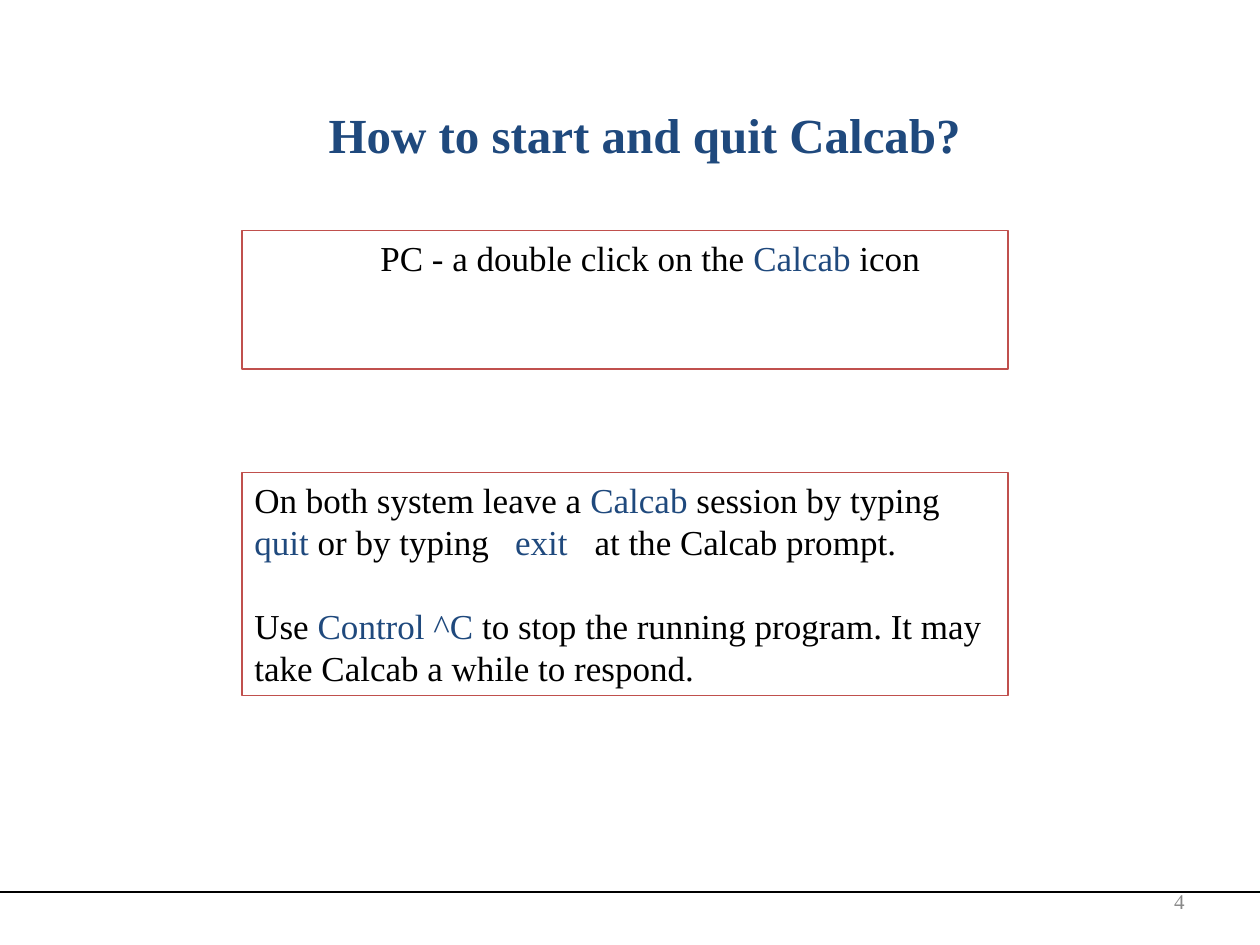
from typing import NamedTuple

from lxml import etree
from pptx import Presentation
from pptx import util as u
from pptx.dml.color import RGBColor
from pptx.enum import shapes, text
from pptx.oxml import ns

BLACK, NAVY, RED, GRAY = "000000", "1F497D", "C0504D", "898989"
LEFT, RIGHT = text.PP_ALIGN.LEFT, text.PP_ALIGN.RIGHT
TOP, MIDDLE = text.MSO_ANCHOR.TOP, text.MSO_ANCHOR.MIDDLE


class Run(NamedTuple):
    text: str
    color: str = BLACK


class Para(NamedTuple):
    runs: list[Run]
    tabs: tuple[float, ...] = ()
    gap: float = 0


class Box(NamedTuple):
    at: tuple[float, float, float, float]
    paras: list[Para]
    size: float = 20
    bold: bool = False
    framed: bool = False
    wrap: bool = True
    align: text.PP_ALIGN = LEFT
    anchor: text.MSO_ANCHOR = TOP


BOXES = [
    Box((2.51, 0.78, 5.26, 0.57), [Para([Run("How to start and quit Calcab?", NAVY)])],
        size=28, bold=True, wrap=False),
    Box((1.92, 3.75, 6.08, 1.77), [
        Para([Run("On both system leave a "), Run("Calcab", NAVY),
              Run(" session by typing "), Run("quit", NAVY), Run(" or by typing\t"),
              Run("exit", NAVY), Run("\tat the Calcab prompt.")], tabs=(2.07, 2.7)),
        Para([Run("Use "), Run("Control ^C", NAVY),
              Run(" to stop the running program. It may take Calcab a while to respond.")],
             gap=24),
    ], framed=True),
    Box((1.92, 1.83, 6.08, 1.1), [
        Para([Run("\tPC - a double click on the "), Run("Calcab", NAVY), Run(" icon")],
             tabs=(1,)),
    ], framed=True),
    Box((7.17, 6.95, 2.33, 0.4), [Para([Run("4", GRAY)])],
        size=12, align=RIGHT, anchor=MIDDLE),
]


def rgb(color: str) -> RGBColor:
    return RGBColor.from_string(color)


def set_all(obj, values: dict) -> None:
    for name, value in values.items():
        setattr(obj, name, value)


def add_tabs(p, stops: tuple[float, ...]) -> None:
    """Give the paragraph left tab stops, in inches from its text edge."""
    if stops:
        tabs = etree.SubElement(p._p.get_or_add_pPr(), ns.qn("a:tabLst"))
        for stop in stops:
            etree.SubElement(tabs, ns.qn("a:tab"), pos=str(u.Inches(stop)), algn="l")


def add_box(s, box: Box) -> None:
    at = [u.Inches(v) for v in box.at]
    if box.framed:
        sp = s.shapes.add_shape(shapes.MSO_SHAPE.RECTANGLE, *at)
        sp.shadow.inherit = False
        sp.fill.background()
        sp.line.color.rgb = rgb(RED)
        sp.line.width = u.Pt(0.75)
    else:
        sp = s.shapes.add_textbox(*at)
    tf = sp.text_frame
    set_all(tf, {"word_wrap": box.wrap, "vertical_anchor": box.anchor})
    for i, para in enumerate(box.paras):
        p = tf.add_paragraph() if i else tf.paragraphs[0]
        p.alignment = box.align
        if para.gap:
            p.space_before = u.Pt(para.gap)
        add_tabs(p, para.tabs)
        for run in para.runs:
            r = p.add_run()
            r.text = run.text
            set_all(r.font, {"name": "Times New Roman", "size": u.Pt(box.size),
                             "bold": box.bold})
            r.font.color.rgb = rgb(run.color)


def add_footer_rule(s, width: float, y: float) -> None:
    line = s.shapes.add_connector(shapes.MSO_CONNECTOR.STRAIGHT, u.Inches(0), u.Inches(y),
                                  u.Inches(width), u.Inches(y))
    line.line.color.rgb = rgb(BLACK)
    line.line.width = u.Pt(0.75)
    etree.SubElement(line._element.spPr, ns.qn("a:effectLst"))


def main() -> None:
    prs = Presentation()
    set_all(prs, {"slide_width": u.Inches(10), "slide_height": u.Inches(7.5)})
    s = prs.slides.add_slide(prs.slide_layouts[6])
    add_footer_rule(s, width=10, y=7.08)
    for box in BOXES:
        add_box(s, box)
    prs.save("out.pptx")


if __name__ == "__main__":
    main()
